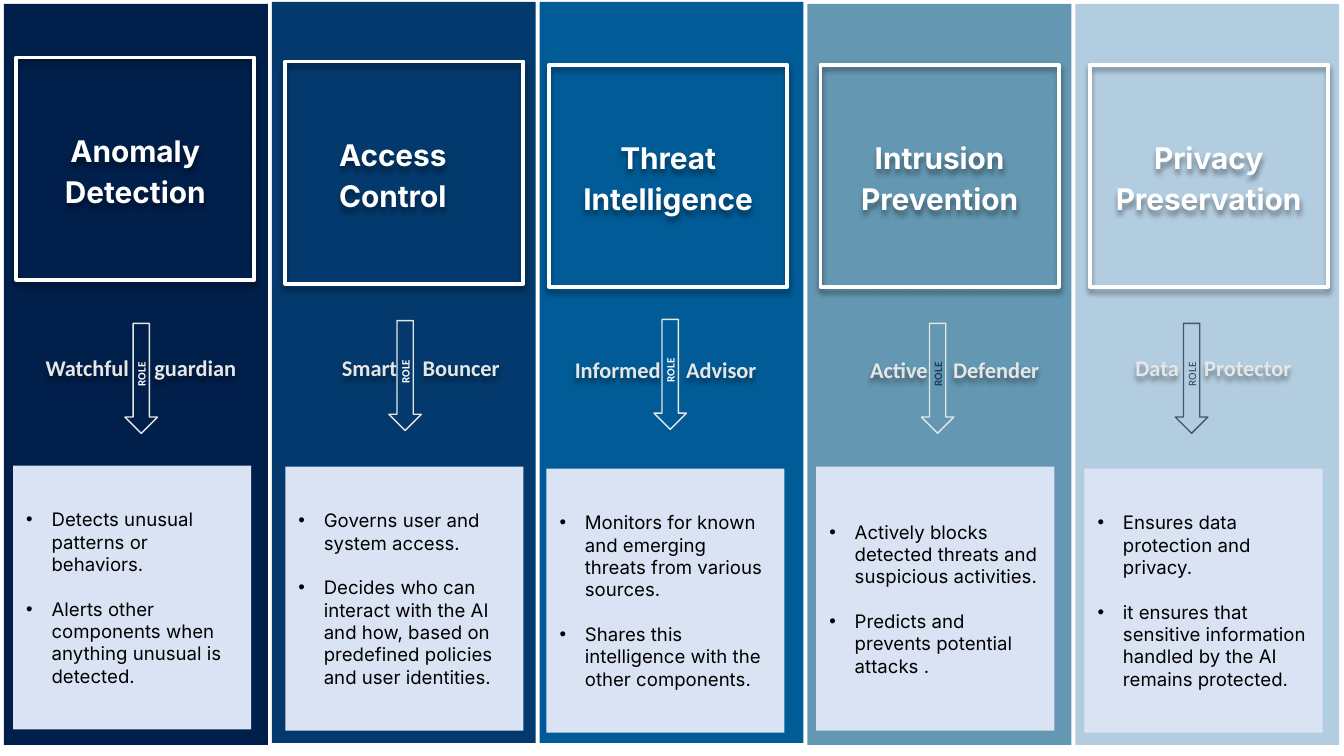
from copy import deepcopy
from dataclasses import dataclass

from lxml import etree
from pptx import Presentation
from pptx.dml.color import RGBColor
from pptx.enum import shapes, text
from pptx.oxml import ns
from pptx.util import Cm, Pt

PALE = "E6E6E6"
WHITE = "FFFFFF"
PITCH = 6.75


@dataclass
class Column:
    """One pillar; places are (left, top) in centimetres."""
    fill: str
    top: float
    title: list
    frame: tuple
    role: tuple
    label: tuple
    width: float
    arrow: tuple
    points: list
    list_at: tuple
    ink: str = WHITE
    edge: str = PALE
    bold: bool = True


COLUMNS = [
    Column("011F4B", 0.1, ["Anomaly Detection"], (0.41, 1.45),
           ("Watchful", "guardian"), (0.36, 8.81), 6.38, (3.15, 8.15),
           ["Detects unusual patterns or behaviors.",
            "Alerts other components when anything unusual is detected."],
           (0.33, 11.73)),
    Column("03396C", 0.05, ["Access", "Control"], (7.19, 1.55),
           ("Smart", "Bouncer"), (7.52, 8.81), 6.17, (9.8, 8.08),
           ["Governs user and system access.",
            "Decides who can interact with the AI and how, based on "
            "predefined policies and user identities."],
           (7.19, 11.76)),
    Column("005B96", 0.05, ["Threat Intelligence"], (13.84, 1.63),
           ("Informed", "Advisor"), (13.64, 8.86), 6.27, (16.48, 8.05),
           ["Monitors for known and emerging threats from various sources.",
            "Shares this intelligence with the other components."],
           (13.77, 11.81)),
    Column("6497B1", 0.1, ["Intrusion Prevention"], (20.68, 1.63),
           ("Active", "Defender"), (20.68, 8.86), 6.76, (23.22, 8.15),
           ["Actively blocks detected threats and suspicious activities.",
            "Predicts and prevents potential attacks ."],
           (20.57, 11.76), ink="203864"),
    Column("B3CDE0", 0.1, ["Privacy Preservation"], (27.46, 1.63),
           ("Data", "Protector"), (27.38, 8.81), 6.4, (29.62, 8.15),
           ["Ensures data protection and privacy.",
            "it ensures that sensitive information handled by the AI "
            "remains protected."],
           (27.33, 11.81), ink="333F50", edge="44546A", bold=False),
]


def paint(target, color):
    """Fill a shape, line or font with one solid colour."""
    if hasattr(target, "solid"):
        target.solid()
        target.fore_color.rgb = RGBColor.from_string(color)
    else:
        target.color.rgb = RGBColor.from_string(color)


def add_run(para, words, size, font, color, bold=False):
    run = para.add_run()
    run.text = words
    run.font.size = Pt(size)
    run.font.name = font
    run.font.bold = bold
    paint(run.font, color)
    return run


def add_box(slide, kind, place, size, fill=None, edge=None, weight=1):
    """Add a preset shape without shadow."""
    box = slide.shapes.add_shape(kind, *map(Cm, place + size))
    box.shadow.inherit = False
    if fill:
        paint(box.fill, fill)
    else:
        box.fill.background()
    if edge:
        paint(box.line, edge)
        box.line.width = Pt(weight)
    else:
        box.line.fill.background()
    return box


def cast(box):
    """Give a shape a soft shadow straight below it."""
    box.shadow.inherit = False
    glow = box._element.spPr.find(ns.qn("a:effectLst"))
    outer = etree.SubElement(glow, ns.qn("a:outerShdw"), blurRad=str(Pt(4)),
                             dist=str(Pt(3)), dir="5400000", rotWithShape="0")
    tone = etree.SubElement(outer, ns.qn("a:srgbClr"), val="000000")
    etree.SubElement(tone, ns.qn("a:alpha"), val="40000")


def set_frame(box, inset):
    frame = box.text_frame
    frame.word_wrap = True
    frame.auto_size = text.MSO_AUTO_SIZE.NONE
    frame.vertical_anchor = text.MSO_ANCHOR.MIDDLE
    frame.margin_left = frame.margin_right = Cm(inset)
    frame.margin_top = frame.margin_bottom = Cm(inset)
    return frame


def add_para(frame, index):
    return frame.add_paragraph() if index else frame.paragraphs[0]


def add_head(slide, col):
    box = add_box(slide, shapes.MSO_SHAPE.RECTANGLE, col.frame, (6, 5.6),
                  edge=WHITE, weight=2.75)
    cast(box)
    frame = set_frame(box, 0)
    for index, line in enumerate(col.title):
        para = add_para(frame, index)
        para.alignment = text.PP_ALIGN.CENTER
        para.line_spacing = 1.15
        add_run(para, line, 21.3, "Inter", WHITE, True)
    if len(col.title) > 1:
        # The first of two lines stands a little left of the centre.
        frame.paragraphs[0]._p.get_or_add_pPr().set("marR", str(Cm(0.58)))


def add_label(slide, col):
    """Write the role as two words with room for the arrow between."""
    box = slide.shapes.add_textbox(*map(Cm, col.label + (col.width, 1.63)))
    cast(box)
    box.text_frame.word_wrap = True
    para = box.text_frame.paragraphs[0]
    para.alignment = text.PP_ALIGN.CENTER
    left, right = col.role
    for words in (left, " ", right):
        run = add_run(para, words, 16, "Calibri", PALE, True)
        if words == " ":
            run.font._element.set("spc", "1450")


def add_arrow(slide, col):
    box = add_box(slide, shapes.MSO_SHAPE.DOWN_ARROW, col.arrow, (0.82, 2.77),
                  col.fill, col.edge)
    frame = box.text_frame
    frame.vertical_anchor = text.MSO_ANCHOR.MIDDLE
    frame._txBody.bodyPr.set("vert", "vert270")
    para = frame.paragraphs[0]
    para.alignment = text.PP_ALIGN.CENTER
    add_run(para, "ROLE", 8, "Calibri", col.ink, col.bold)


def add_list(slide, seed, col, number):
    """Place a body placeholder, made from the seed, as a bullet list."""
    part = deepcopy(seed)
    part.nvSpPr.cNvPr.set("id", str(100 + number))
    slide.shapes._spTree.append(part)
    box = slide.shapes[-1]
    box.name = f"List {number}"
    box.left, box.top, box.width, box.height = map(Cm, col.list_at + (6, 6.65))
    paint(box.fill, "DAE3F3")
    frame = set_frame(box, 0.33)
    for index, point in enumerate(col.points):
        para = add_para(frame, index)
        para.space_before = Pt(16 if index else 0)
        props = para._p.get_or_add_pPr()
        props.set("marL", str(Cm(0.64)))
        props.set("indent", str(Cm(-0.64)))
        etree.SubElement(props, ns.qn("a:buFont"), typeface="Arial")
        etree.SubElement(props, ns.qn("a:buChar"), char="•")
        add_run(para, point, 13.3, "Inter", "000000")


def main():
    deck = Presentation()
    deck.slide_width, deck.slide_height = Cm(33.87), Cm(19.05)
    slide = deck.slides.add_slide(deck.slide_layouts[1])
    seed = slide.placeholders[1]._element
    for holder in list(slide.placeholders):
        slide.shapes._spTree.remove(holder._element)

    for index, col in enumerate(COLUMNS):
        add_box(slide, shapes.MSO_SHAPE.RECTANGLE,
                (0.1 + PITCH * index, col.top), (6.65, 18.67), col.fill)
    for number, col in enumerate(COLUMNS, 1):
        add_head(slide, col)
        add_label(slide, col)
        add_arrow(slide, col)
        add_list(slide, seed, col, number)
    deck.save("out.pptx")


if __name__ == "__main__":
    main()
